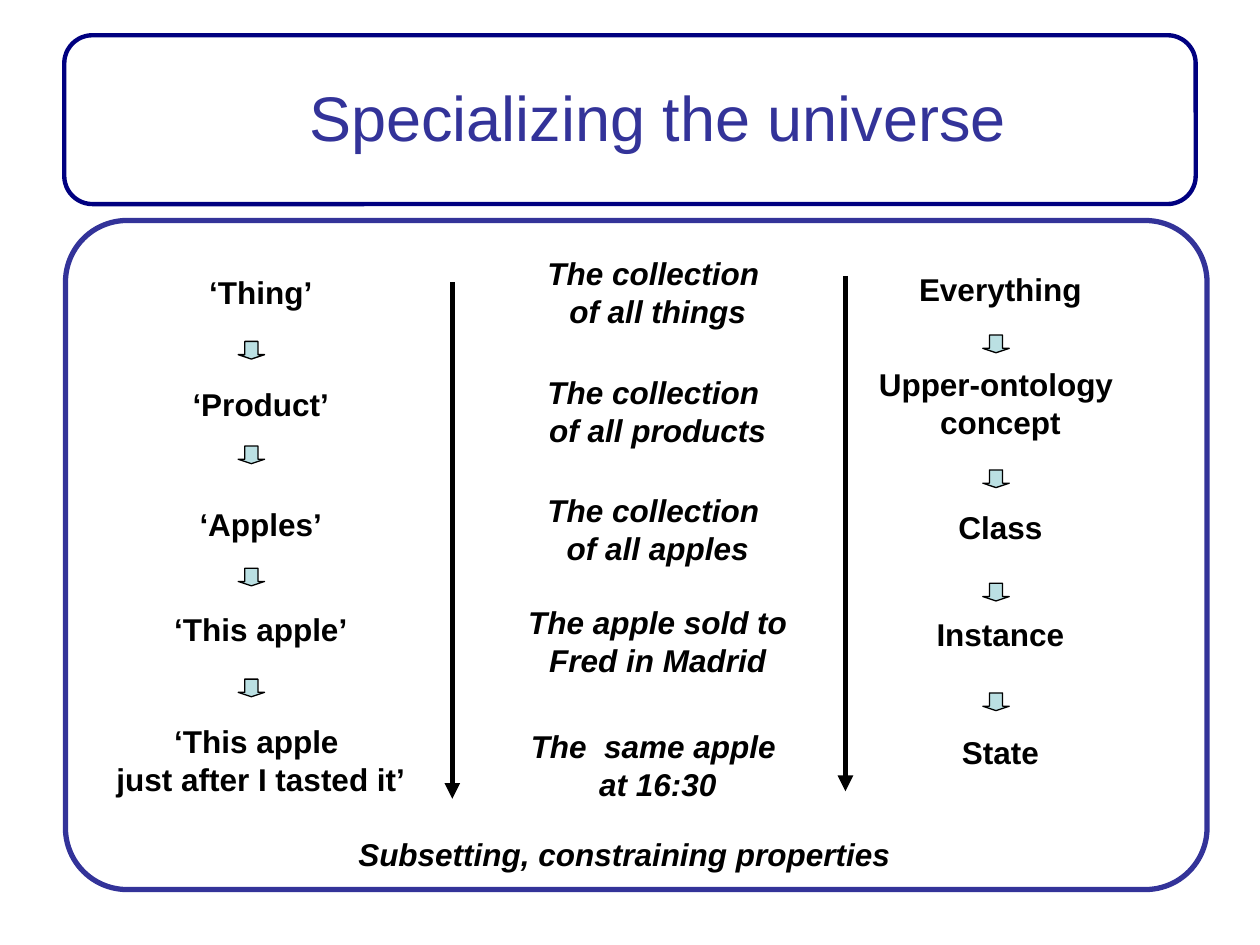
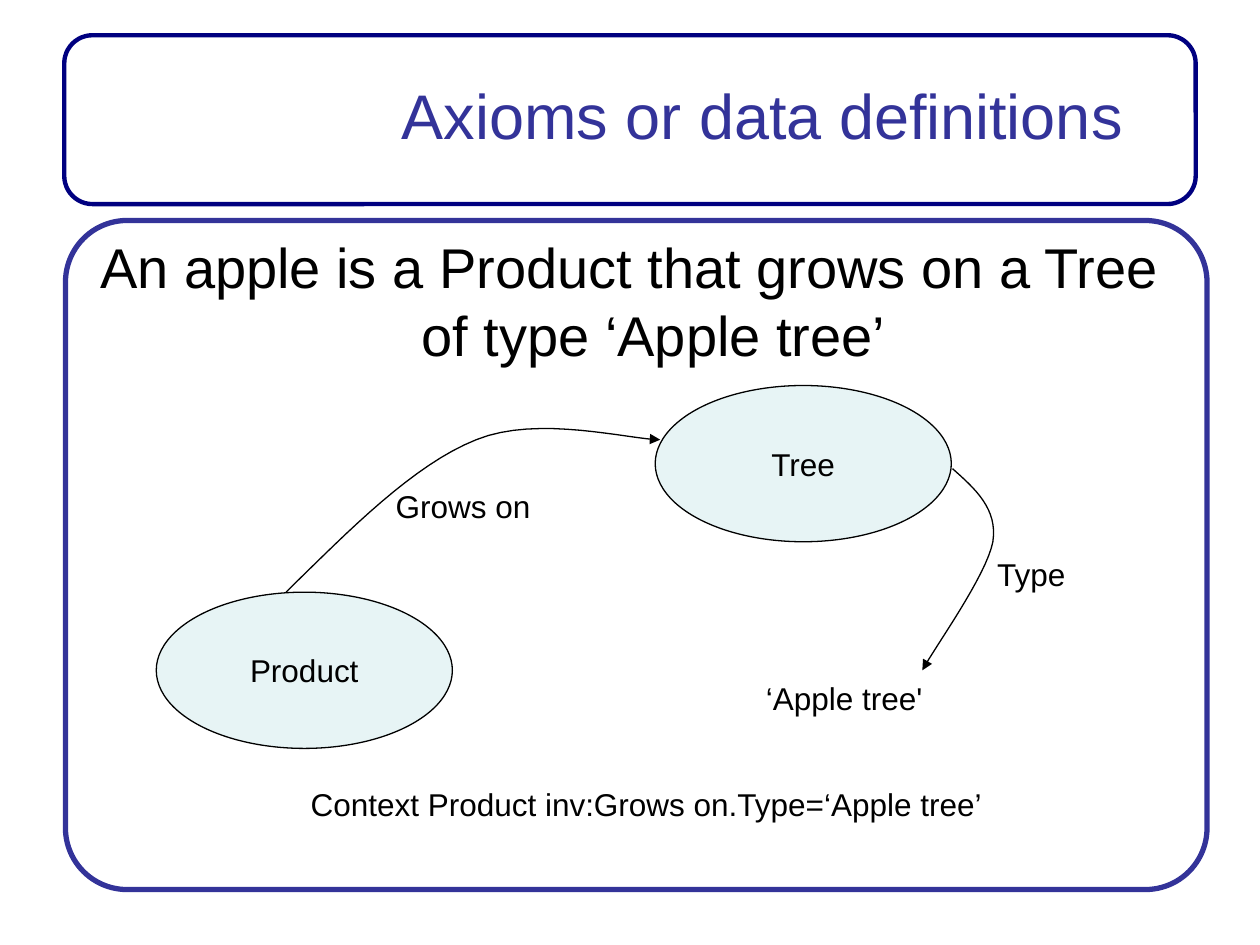
from dataclasses import dataclass

from lxml import etree
from pptx import Presentation
from pptx import util as u
from pptx.dml.color import RGBColor
from pptx.enum import shapes, text
from pptx.oxml.ns import qn


@dataclass(frozen=True)
class Theme:
    font: str = "Arial"
    title: str = "333399"
    navy: str = "000080"
    ink: str = "000000"
    paper: str = "FFFFFF"
    arrow: str = "BBE0E3"
    bubble: str = "E7F4F5"
    title_size: int = 36
    body_size: int = 32
    label_size: int = 18


T = Theme()
LINE_H, PAD_H = 0.3, 0.1

# Content: frames shared by the slides (box, corner, line colour, line width)
FRAMES = [
    ((0.51, 0.28, 8.98, 1.34), 0.167, T.navy, 2.5),
    ((0.52, 1.75, 9.06, 5.31), 0.092, T.title, 3),
]

# Content: columns of the first slide, each label with its top
COLUMNS = [
    dict(center=2.07, width=2.5, italic=False, labels=[
        (2.12, "‘Thing’"), (3.01, "‘Product’"), (3.96, "‘Apples’"),
        (4.79, "‘This apple’"), (5.68, "‘This apple \njust after I tasted it’")]),
    dict(center=5.22, width=2.65, italic=True, labels=[
        (1.97, "The collection \nof all things"),
        (2.91, "The collection \nof all products"),
        (3.85, "The collection \nof all apples"),
        (4.74, "The apple sold to Fred in Madrid"),
        (5.72, "The  same apple \nat 16:30")]),
    dict(center=7.94, width=2.3, italic=False, labels=[
        (2.09, "Everything"), (2.85, "Upper-ontology \nconcept"),
        (3.98, "Class"), (4.83, "Instance"), (5.77, "State")]),
]
STEP_ARROWS = {1.89: (2.71, 3.54, 4.51, 5.39), 7.8: (2.66, 3.73, 4.63, 5.5)}
LONG_ARROWS = [(3.59, 2.24, 6.34), (6.71, 2.19, 6.28)]

# Content: concept graph of the second slide
BUBBLES = [("Product", 1.24, 4.7), ("Tree", 5.2, 3.06)]
RELATIONS = [  # start, then (control, control, end) for each curve piece
    ((2.27, 4.7), [((2.78, 4.2), (3.28, 3.69), (3.78, 3.49)),
                   ((4.27, 3.29), (5, 3.49), (5.24, 3.49))]),
    ((7.56, 3.72), [((7.74, 3.88), (7.92, 4.04), (7.88, 4.3)),
                    ((7.83, 4.57), (7.41, 5.15), (7.32, 5.32))]),
]
GRAPH_LABELS = [
    ("Grows on", (3.04, 3.82, 1.27, 0.4)),
    ("‘Apple tree'", (5.98, 5.34, 1.44, 0.4)),
    ("Type", (7.81, 4.36, 0.75, 0.4)),
    ("Context Product inv:Grows on.Type=‘Apple tree’", (2.36, 6.18, 5.54, 0.4)),
]


def inches(values):
    return [u.Inches(v) for v in values]


def write(sp, words, size=T.label_size, color=T.ink, bold=False, italic=False,
          wrap=True, anchor=text.MSO_ANCHOR.TOP, hanging=0):
    """Put centred text into a shape, one paragraph a line."""
    tf = sp.text_frame
    tf.word_wrap = wrap
    tf.vertical_anchor = anchor
    for i, line in enumerate(words.split("\n")):
        p = tf.add_paragraph() if i else tf.paragraphs[0]
        p.alignment = text.PP_ALIGN.CENTER
        if hanging:
            pPr = p._p.get_or_add_pPr()
            pPr.set("marL", str(u.Inches(hanging)))
            pPr.set("indent", str(-u.Inches(hanging)))
        r = p.add_run()
        r.text = line
        f = r.font
        f.name, f.size, f.bold, f.italic = T.font, u.Pt(size), bold, italic
        f.color.rgb = RGBColor.from_string(color)


def add_text(s, words, box, **fmt):
    write(s.shapes.add_textbox(*inches(box)), words, **fmt)


def set_line(sp, color=T.ink, width=0.75, arrow=False):
    sp.line.color.rgb = RGBColor.from_string(color)
    sp.line.width = u.Pt(width)
    if arrow:
        etree.SubElement(sp.line._get_or_add_ln(), qn("a:tailEnd"), type="triangle")


def add_shape(s, kind, box, fill, adj=(), color=T.ink, width=0.75):
    sp = s.shapes.add_shape(kind, *inches(box))
    sp.shadow.inherit = False
    for i, value in enumerate(adj):
        sp.adjustments[i] = value
    sp.fill.solid()
    sp.fill.fore_color.rgb = RGBColor.from_string(fill)
    set_line(sp, color, width)
    return sp


def add_long_arrow(s, x, top, bottom):
    c = s.shapes.add_connector(shapes.MSO_CONNECTOR.STRAIGHT,
                               *inches((x, top, x, bottom)))
    set_line(c, width=3, arrow=True)
    etree.SubElement(c._element.spPr, qn("a:effectLst"))


def add_curve(s, start, pieces, steps=16):
    """Draw cubic curve pieces as one open outline with an arrowhead."""
    points, p0 = [], start
    for c1, c2, end in pieces:
        for k in range(1, steps + 1):
            t = k / steps
            weights = ((1 - t) ** 3, 3 * t * (1 - t) ** 2, 3 * t * t * (1 - t), t ** 3)
            points.append(inches(sum(w * v for w, v in zip(weights, axis))
                                 for axis in zip(p0, c1, c2, end)))
        p0 = end
    fb = s.shapes.build_freeform(*inches(start), scale=1.0)
    fb.add_line_segments(points, close=False)
    sp = fb.convert_to_shape()
    sp.shadow.inherit = False
    sp.fill.background()
    set_line(sp, arrow=True)


def new_slide(prs, title, title_box):
    s = prs.slides.add_slide(prs.slide_layouts[6])
    for box, corner, color, width in FRAMES:
        add_shape(s, shapes.MSO_SHAPE.ROUNDED_RECTANGLE, box, T.paper,
                  (corner,), color, width)
    add_text(s, title, title_box, size=T.title_size, color=T.title,
             anchor=text.MSO_ANCHOR.MIDDLE)
    return s


def build_universe(prs):
    s = new_slide(prs, "Specializing the universe", (2.11, 0.3, 6.22, 1.25))
    # Columns of labels
    for col in COLUMNS:
        for top, words in col["labels"]:
            height = PAD_H + LINE_H * (words.count("\n") + 1)
            add_text(s, words, (col["center"] - col["width"] / 2, top,
                                col["width"], height),
                     bold=True, italic=col["italic"])
    add_text(s, "Subsetting, constraining properties", (2.71, 6.58, 4.49, 0.4),
             bold=True, italic=True, wrap=False)
    # Arrows between labels and beside the columns
    for x, tops in STEP_ARROWS.items():
        for top in tops:
            add_shape(s, shapes.MSO_SHAPE.DOWN_ARROW, (x, top, 0.21, 0.14),
                      T.arrow, (0.5, 0.25))
    for arrow in LONG_ARROWS:
        add_long_arrow(s, *arrow)


def build_axioms(prs):
    s = new_slide(prs, "Axioms or data definitions", (2.94, 0.28, 6.22, 1.25))
    add_text(s, "An apple is a Product that grows on a Tree of type ‘Apple tree’",
             (0.5, 1.8, 9, 1.2), size=T.body_size, hanging=0.38)
    # Concepts and their relations
    for name, x, y in BUBBLES:
        sp = add_shape(s, shapes.MSO_SHAPE.OVAL, (x, y, 2.35, 1.24), T.bubble)
        write(sp, name, wrap=False, anchor=text.MSO_ANCHOR.MIDDLE)
    for start, pieces in RELATIONS:
        add_curve(s, start, pieces)
    for words, box in GRAPH_LABELS:
        add_text(s, words, box, wrap=False)


def main():
    prs = Presentation()
    prs.slide_width, prs.slide_height = inches((10, 7.5))
    build_universe(prs)
    build_axioms(prs)
    prs.save("out.pptx")


if __name__ == "__main__":
    main()
